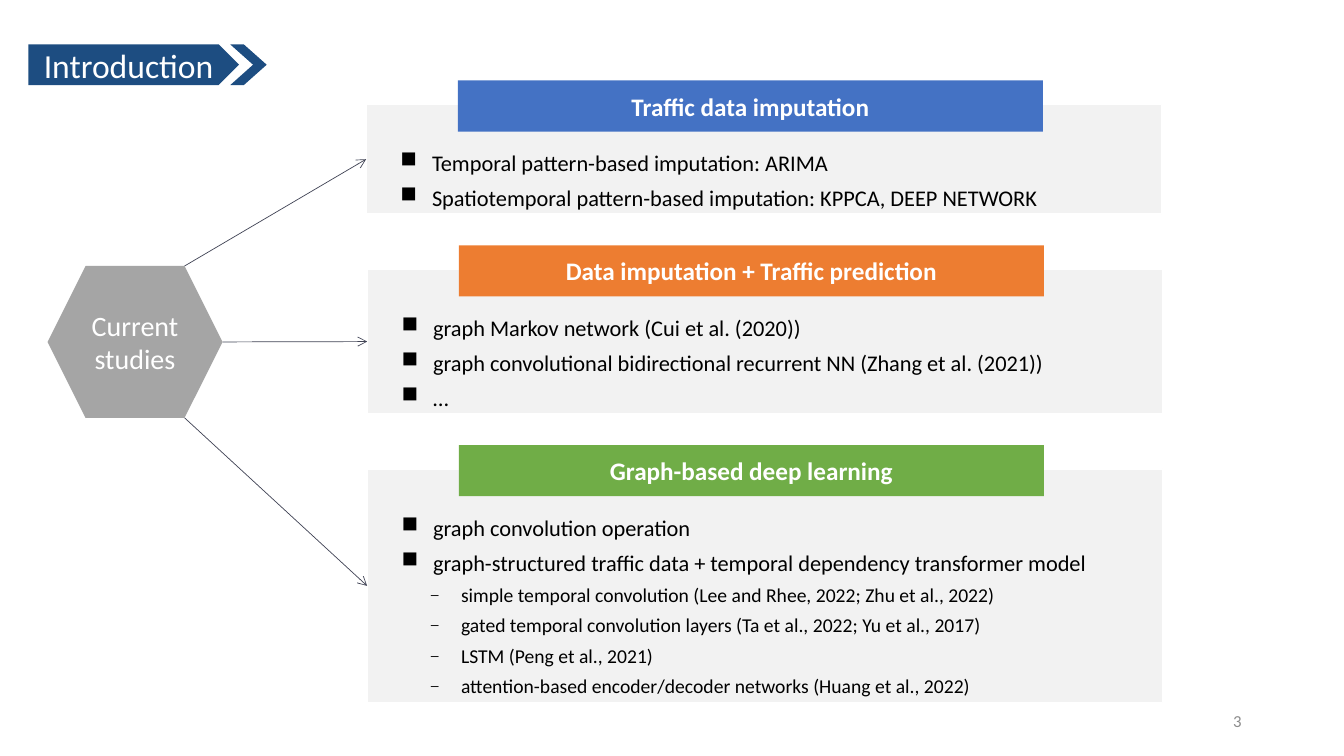
"""Builds the introduction slide on current studies of traffic data."""
from lxml.etree import SubElement
from pptx import Presentation
from pptx.dml.color import RGBColor
from pptx.enum.shapes import MSO_CONNECTOR, MSO_SHAPE
from pptx.enum.text import MSO_ANCHOR, PP_ALIGN
from pptx.oxml.ns import qn
from pptx.util import Pt

NAVY, GRAY, PALE, INK = "1D4D81", "A5A5A5", "F2F2F2", "414455"
WHITE, BLACK = "FFFFFF", "000000"
LEVELS = [("■", 16, 22.5), ("₋", 14, 42.5)]
HANG = 22.5
WIDE = 568
PANELS = [
    ("Traffic data imputation", "4472C4", 261.5, 74.5, 78.5, [
        (0, "Temporal pattern-based imputation: ARIMA"),
        (0, "Spatiotemporal pattern-based imputation: KPPCA, DEEP NETWORK"),
    ]),
    ("Data imputation + Traffic prediction", "ED7D31", 262.25, 192.25, 103.5, [
        (0, "graph Markov network (Cui et al. (2020))"),
        (0, "graph convolutional bidirectional recurrent NN (Zhang et al. (2021))"),
        (0, "…"),
    ]),
    ("Graph-based deep learning", "70AD47", 262.25, 335, 167, [
        (0, "graph convolution operation"),
        (0, "graph-structured traffic data + temporal dependency transformer model"),
        (1, "simple temporal convolution (Lee and Rhee, 2022; Zhu et al., 2022)"),
        (1, "gated temporal convolution layers (Ta et al., 2022; Yu et al., 2017)"),
        (1, "LSTM (Peng et al., 2021)"),
        (1, "attention-based encoder/decoder networks (Huang et al., 2022)"),
    ]),
]
HEX = (34, 190, 125, 108.5)
SLANT = HEX[3] / 4


def color(code):
    return RGBColor.from_string(code)


def write(para, text, size, ink, bold=False, align=PP_ALIGN.LEFT):
    para.alignment = align
    run = para.add_run()
    run.text = text
    font = run.font
    font.name, font.size, font.bold = "Calibri", Pt(size), bold
    font.color.rgb = color(ink)


def block(kind, box, fill, text="", size=18, bold=False, edge=None):
    shape = slide.shapes.add_shape(kind, *map(Pt, box))
    shape.shadow.inherit = False
    shape.fill.solid()
    shape.fill.fore_color.rgb = color(fill)
    if edge:
        shape.line.color.rgb = color(edge)
        shape.line.width = Pt(1)
    else:
        shape.line.fill.background()
    if text:
        frame = shape.text_frame
        frame.word_wrap = True
        frame.vertical_anchor = MSO_ANCHOR.MIDDLE
        write(frame.paragraphs[0], text, size, WHITE, bold, PP_ALIGN.CENTER)
    return shape


def label(box):
    frame = slide.shapes.add_textbox(*map(Pt, box)).text_frame
    frame.word_wrap = True
    return frame


def bullet(para, level, text):
    mark, size, left = LEVELS[level]
    props = para._p.get_or_add_pPr()
    props.set("marL", str(Pt(left)))
    props.set("indent", str(-Pt(HANG)))
    SubElement(props, qn("a:buChar")).set("char", mark)
    para.line_spacing = 1.3
    write(para, text, size, BLACK)


def panel(title, fill, left, top, high, items):
    back = block(MSO_SHAPE.RECTANGLE, (left, top, WIDE, high), PALE, edge=WHITE)
    block(MSO_SHAPE.RECTANGLE, (left + 65.5, top - 17, 418, 36.5), fill, title, bold=True)
    frame = label((left + 17.5, top + 22.75, 532, high - 23))
    for i, (level, text) in enumerate(items):
        para = frame.add_paragraph() if i else frame.paragraphs[0]
        bullet(para, level, text)
    return back


def arrow(start, back):
    middle = back.top + back.height // 2
    line = slide.shapes.add_connector(
        MSO_CONNECTOR.STRAIGHT, *map(Pt, start), back.left, middle)
    line.end_connect(back, 1)
    line.line.color.rgb = color(INK)
    line.line.width = Pt(0.5)
    SubElement(line.line._get_or_add_ln(), qn("a:tailEnd")).set("type", "arrow")
    SubElement(line._element.spPr, qn("a:effectLst"))


deck = Presentation()
deck.slide_width, deck.slide_height = Pt(960), Pt(540)
slide = deck.slides.add_slide(deck.slide_layouts[6])

page = label((678, 500.5, 216, 28.75))
page.vertical_anchor = MSO_ANCHOR.MIDDLE
write(page.paragraphs[0], "3", 12, "8C8C8C", align=PP_ALIGN.RIGHT)

head = block(MSO_SHAPE.PENTAGON, (20.25, 31.75, 150.5, 29), NAVY, "Introduction", 24)
frame = head.text_frame
frame.margin_left = frame.margin_right = frame.margin_top = frame.margin_bottom = 0
tip = block(MSO_SHAPE.CHEVRON, (164.5, 31.75, 26, 29), NAVY)
tip.adjustments[0] = 0.627

block(MSO_SHAPE.HEXAGON, HEX, GRAY, "Current studies", 20)
left, top, wide, high = HEX
corner = left + wide - SLANT
starts = [(corner, top), (left + wide, top + high / 2), (corner, top + high)]
for start, row in zip(starts, PANELS):
    arrow(start, panel(*row))

deck.save("out.pptx")
